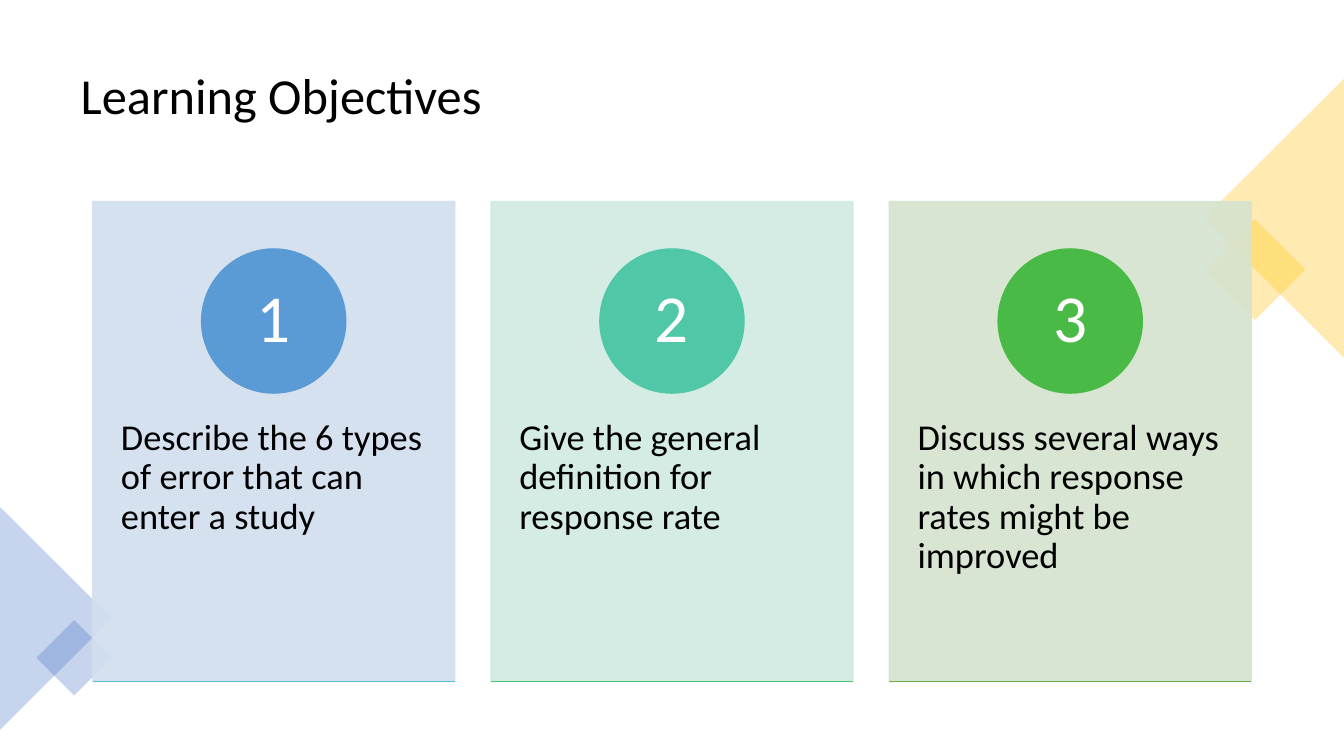
from lxml import etree
from pptx import Presentation
from pptx.dml.color import RGBColor
from pptx.enum.shapes import MSO_CONNECTOR, MSO_SHAPE
from pptx.enum.text import MSO_ANCHOR, PP_ALIGN
from pptx.oxml.ns import qn
from pptx.util import Inches, Pt

# Content
TITLE = "Learning Objectives"
OBJECTIVES = [
    # text, card colour, circle colour, base line colour
    ("Describe the 6 types of error that can enter a study", "blue_card", "blue", "aqua"),
    ("Give the general definition for response rate", "teal_card", "teal", "mint"),
    ("Discuss several ways in which response rates might be improved",
     "green_card", "green", "olive"),
]
COLOURS = {
    "black": "000000", "white": "FFFFFF", "gold": "FFC000", "navy": "4472C4",
    "blue_card": "D2DEEF", "teal_card": "D0EAE1", "green_card": "D5E3CF",
    "blue": "5B9BD5", "teal": "50C8A7", "green": "4ABA46",
    "aqua": "55C3CF", "mint": "4BC174", "olive": "70AD47",
}
# preset, left, top, width, height, rotation, colour
DECORATIONS = [
    (MSO_SHAPE.RECTANGLE, 12.09, 2.32, 0.71, 0.71, 45, "gold"),
    (MSO_SHAPE.ISOSCELES_TRIANGLE, 11.25, 1.47, 2.77, 1.39, 270, "gold"),
    (MSO_SHAPE.ISOSCELES_TRIANGLE, -0.55, 5.58, 2.21, 1.11, 90, "navy"),
    (MSO_SHAPE.RECTANGLE, 0.47, 6.26, 0.53, 0.53, 45, "navy"),
]

# Layout, in inches
CARD_LEFT, CARD_TOP, CARD_WIDTH, CARD_HEIGHT = 0.92, 2, 3.59, 4.76
CARD_STEP = 3.95
CIRCLE_TOP, CIRCLE_SIZE = 2.47, 1.43
TEXT_TOP, TEXT_HEIGHT = 3.8, 2.86

FONT = "Calibri"
TITLE_FRAME = {"word_wrap": True, "vertical_anchor": MSO_ANCHOR.MIDDLE}
NUMBER_FRAME = {"word_wrap": False, "vertical_anchor": MSO_ANCHOR.MIDDLE}
OBJECTIVE_FRAME = {
    "word_wrap": True, "vertical_anchor": MSO_ANCHOR.TOP,
    "margin_left": Inches(0.28), "margin_right": Inches(0.28),
    "margin_top": Inches(0.36), "margin_bottom": Inches(0.36),
}


def rgb(colour):
    return RGBColor.from_string(COLOURS[colour])


def inches(*lengths):
    return [Inches(length) for length in lengths]


def add_filled(slide, preset, box, colour, opacity=100, outlined=True):
    shape = slide.shapes.add_shape(preset, *inches(*box))
    shape.shadow.inherit = False
    shape.fill.solid()
    shape.fill.fore_color.rgb = rgb(colour)
    if outlined:
        shape.line.color.rgb = rgb(colour)
        shape.line.width = Pt(1)
    else:
        shape.line.fill.background()
    if opacity < 100:
        for tint in shape.fill._xPr.iter(qn("a:srgbClr")):
            etree.SubElement(tint, qn("a:alpha")).set("val", str(opacity * 1000))
    return shape


def write(shape, text, size, colour, frame_format, align=PP_ALIGN.LEFT):
    frame = shape.text_frame
    for attribute, value in frame_format.items():
        setattr(frame, attribute, value)
    paragraph = frame.paragraphs[0]
    paragraph.alignment = align
    paragraph.line_spacing = 0.9
    run = paragraph.add_run()
    run.text = text
    run.font.name = FONT
    run.font.size = Pt(size)
    run.font.color.rgb = rgb(colour)


def add_base_line(slide, left, colour):
    bottom = CARD_TOP + CARD_HEIGHT
    base = slide.shapes.add_connector(
        MSO_CONNECTOR.STRAIGHT, *inches(left, bottom, left + CARD_WIDTH, bottom))
    base.line.color.rgb = rgb(colour)
    base.line.width = Pt(1)
    etree.SubElement(base.line._ln.getparent(), qn("a:effectLst"))


def add_objective(slide, index, text, card, circle, base):
    left = CARD_LEFT + index * CARD_STEP
    add_filled(slide, MSO_SHAPE.RECTANGLE,
               (left, CARD_TOP, CARD_WIDTH, CARD_HEIGHT), card, 90)
    objective = slide.shapes.add_textbox(
        *inches(left, TEXT_TOP, CARD_WIDTH, TEXT_HEIGHT))
    write(objective, text, 26, "black", OBJECTIVE_FRAME)
    circle_left = left + (CARD_WIDTH - CIRCLE_SIZE) / 2
    number = add_filled(slide, MSO_SHAPE.OVAL,
                        (circle_left, CIRCLE_TOP, CIRCLE_SIZE, CIRCLE_SIZE), circle)
    write(number, str(index + 1), 48, "white", NUMBER_FRAME, PP_ALIGN.CENTER)
    add_base_line(slide, left, base)


def main():
    deck = Presentation()
    deck.slide_width, deck.slide_height = inches(13.33, 7.5)
    slide = deck.slides.add_slide(deck.slide_layouts[5])

    # Title
    title = slide.shapes.title
    title.left, title.top, title.width, title.height = inches(0.7, 0.35, 11.93, 1.24)
    write(title, TITLE, 36, "black", TITLE_FRAME)

    # Corner decorations
    for preset, left, top, width, height, rotation, colour in DECORATIONS:
        corner = add_filled(slide, preset, (left, top, width, height), colour, 30, False)
        corner.rotation = rotation

    # Objective cards
    for index, objective in enumerate(OBJECTIVES):
        add_objective(slide, index, *objective)

    deck.save("out.pptx")


if __name__ == "__main__":
    main()
